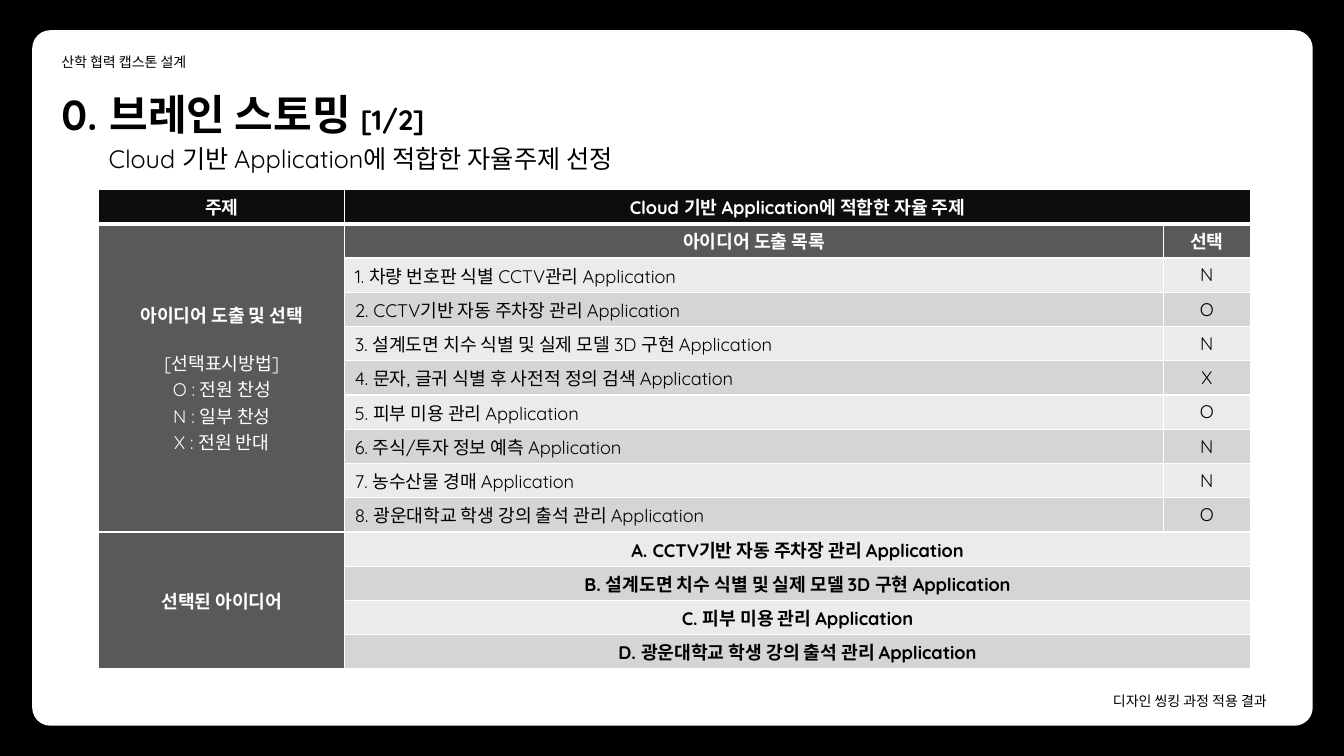
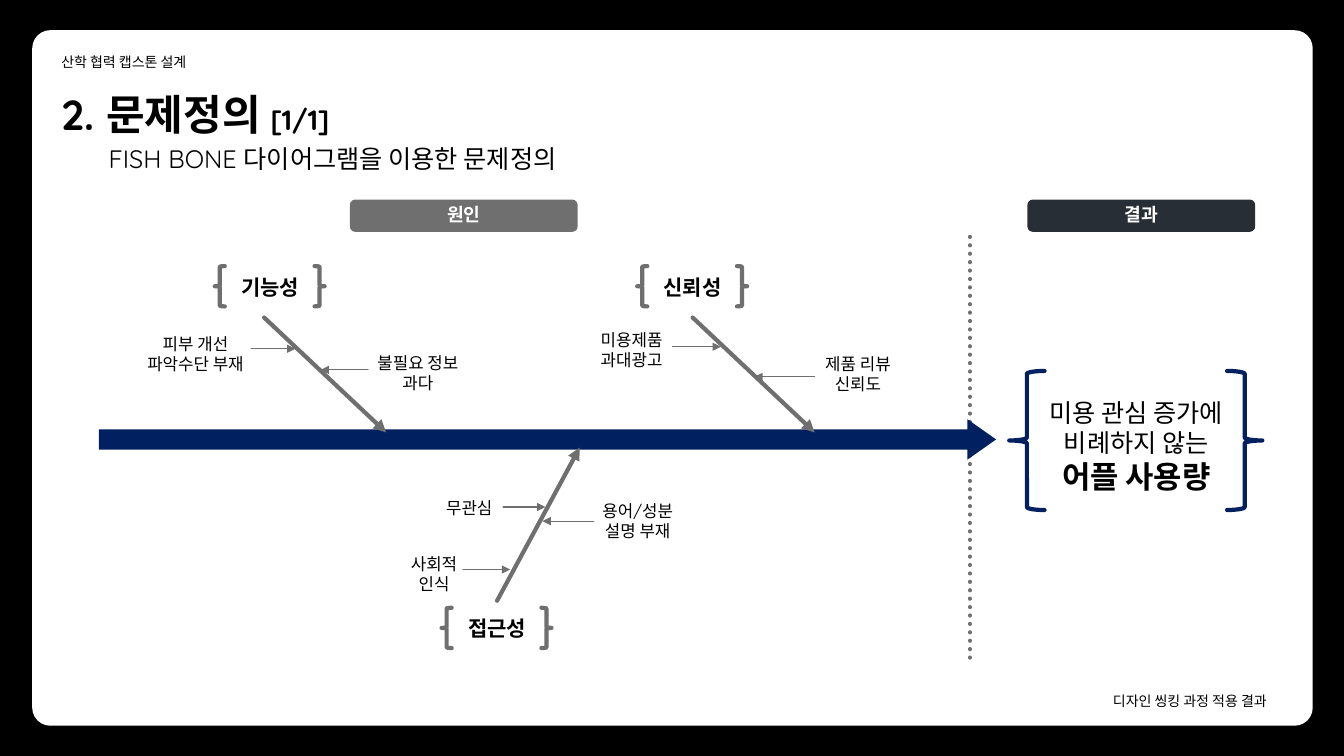
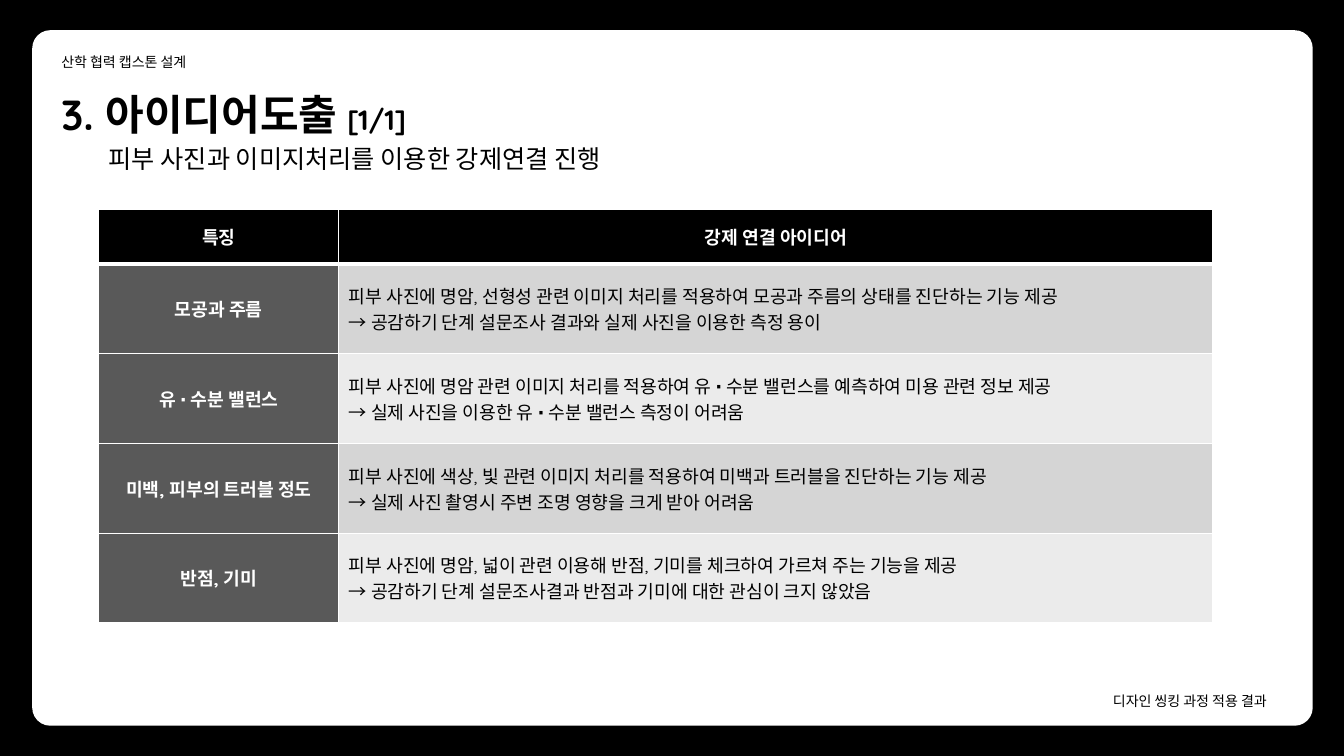
from dataclasses import dataclass

from lxml.etree import SubElement
from pptx import Presentation
from pptx.dml.color import RGBColor
from pptx.enum.dml import MSO_LINE
from pptx.enum.shapes import MSO_CONNECTOR, MSO_SHAPE as Preset
from pptx.enum.text import MSO_ANCHOR as Anchor, MSO_AUTO_SIZE as AutoSize, PP_ALIGN as Align
from pptx.oxml.ns import qn
from pptx.util import Emu, Pt

EMU_PER_PX = 9144
FONT = "Quicksand"
COLORS = {
    "black": "000000",
    "white": "FFFFFF",
    "header": "0D0D0D",
    "side": "595959",
    "light": "EBEBEB",
    "medium": "D5D5D5",
    "bone": "6F6F6F",
    "navy": "002060",
    "result": "282E35",
}


@dataclass(frozen=True)
class Style:
    size: int
    color: str = "black"
    bold: bool = False
    align: Align = Align.LEFT
    font: str = FONT


@dataclass(frozen=True)
class Arrow:
    start: tuple[int, int]
    end: tuple[int, int]
    width: float = 0.75


@dataclass(frozen=True)
class Cause:
    lines: tuple[str, ...]
    left: int
    top: int
    width: int
    align: Align = Align.CENTER


@dataclass(frozen=True)
class Category:
    text: str
    left: int
    top: int


@dataclass(frozen=True)
class Badge:
    text: str
    left: int
    fill: str


SMALL = Style(10)
SUBTITLE = Style(18)
HEADING = Style(30, bold=True)
CELL = Style(13)
CELL_CENTER = Style(13, align=Align.CENTER)
CELL_BOLD = Style(13, bold=True, align=Align.CENTER)
CELL_HEAD = Style(13, "white", True, Align.CENTER)
CELL_NOTE = Style(13, "white", False, Align.CENTER)
BADGE = Style(13, "white", True, Align.CENTER, "Arial")
CATEGORY = Style(15, bold=True, align=Align.CENTER)
RESULT = Style(18, align=Align.CENTER)
RESULT_BOLD = Style(22, bold=True, align=Align.CENTER)

IDEAS = [
    ("1. 차량 번호판 식별 CCTV관리 Application", "N"),
    ("2. CCTV기반 자동 주차장 관리 Application", "O"),
    ("3. 설계도면 치수 식별 및 실제 모델 3D 구현 Application", "N"),
    ("4. 문자, 글귀 식별 후 사전적 정의 검색 Application", "X"),
    ("5. 피부 미용 관리 Application", "O"),
    ("6. 주식/투자 정보 예측 Application", "N"),
    ("7. 농수산물 경매 Application", "N"),
    ("8. 광운대학교 학생 강의 출석 관리 Application", "O"),
]
SELECTED = [
    "A. CCTV기반 자동 주차장 관리 Application",
    "B. 설계도면 치수 식별 및 실제 모델 3D 구현 Application",
    "C. 피부 미용 관리 Application",
    "D. 광운대학교 학생 강의 출석 관리 Application",
]
LEGEND = ["[선택표시방법]", "O : 전원 찬성", "N : 일부 찬성", "X : 전원 반대"]

BADGES = [Badge("결과", 1019, "result"), Badge("원인", 347, "bone")]
CATEGORIES = [
    Category("기능성", 213, 264),
    Category("신뢰성", 632, 264),
    Category("접근성", 438, 603),
]
CAUSES = [
    Cause(("미용제품", "과대광고"), 586, 322, 99, Align.LEFT),
    Cause(("제품 리뷰", "신뢰도"), 791, 346, 120),
    Cause(("용어/성분 설명 부재",), 583, 492, 99),
    Cause(("사회적", "인식"), 382, 544, 97),
    Cause(("피부 개선", "파악수단 부재"), 116, 326, 156),
    Cause(("불필요 정보", "과다"), 359, 345, 111),
    Cause(("무관심",), 417, 489, 97),
]
ARROWS = [
    Arrow((687, 315), (808, 429), 3),
    Arrow((493, 596), (575, 444), 3),
    Arrow((262, 315), (383, 429), 3),
    Arrow((499, 503), (541, 503)),
    Arrow((589, 517), (538, 517)),
    Arrow((808, 374), (748, 374)),
    Arrow((459, 565), (506, 565)),
    Arrow((249, 346), (293, 346)),
    Arrow((365, 367), (318, 367)),
    Arrow((667, 344), (715, 344)),
]

FEATURES = [
    ("모공과 주름", [
        "피부 사진에 명암, 선형성 관련 이미지 처리를 적용하여 모공과 주름의 상태를 진단하는 기능 제공",
        "→ 공감하기 단계 설문조사 결과와 실제 사진을 이용한 측정 용이",
    ]),
    ("유 ∙ 수분 밸런스", [
        "피부 사진에 명암 관련 이미지 처리를 적용하여 유 ∙ 수분 밸런스를 예측하여 미용 관련 정보 제공",
        "→ 실제 사진을 이용한 유 ∙ 수분 밸런스 측정이 어려움",
    ]),
    ("미백, 피부의 트러블 정도", [
        "피부 사진에 색상, 빛 관련 이미지 처리를 적용하여 미백과 트러블을 진단하는 기능 제공",
        "→ 실제 사진 촬영시 주변 조명 영향을 크게 받아 어려움",
    ]),
    ("반점, 기미", [
        "피부 사진에 명암, 넓이 관련 이용해 반점, 기미를 체크하여 가르쳐 주는 기능을 제공",
        "→ 공감하기 단계 설문조사결과 반점과 기미에 대한 관심이 크지 않았음",
    ]),
]


def px(value: float) -> Emu:
    return Emu(round(value * EMU_PER_PX))


def rgb(name: str) -> RGBColor:
    return RGBColor.from_string(COLORS[name])


def write(frame, lines: list[tuple[str, Style]]) -> None:
    for index, (text, style) in enumerate(lines):
        para = frame.paragraphs[0] if index == 0 else frame.add_paragraph()
        para.alignment = style.align
        para.font.name = style.font
        para.font.size = Pt(style.size)
        para.font.bold = style.bold
        para.font.color.rgb = rgb(style.color)
        before, dot, after = text.partition("∙ ")
        for part in filter(None, (before, dot, after)):
            span = para.add_run()
            span.text = part
            if part == dot:
                span.font.bold = True


def add_text(page, left: int, top: int, width: int, height: int,
             lines: list[tuple[str, Style]]) -> None:
    box = page.shapes.add_textbox(px(left), px(top), px(width), px(height))
    box.text_frame.word_wrap = True
    box.text_frame.auto_size = AutoSize.SHAPE_TO_FIT_TEXT
    write(box.text_frame, lines)


def add_solid(page, preset, left: int, top: int, width: int, height: int, fill: str):
    shape = page.shapes.add_shape(preset, px(left), px(top), px(width), px(height))
    shape.shadow.inherit = False
    shape.fill.solid()
    shape.fill.fore_color.rgb = rgb(fill)
    shape.line.fill.background()
    return shape


def add_braces(page, left: int, top: int, width: int, height: int,
               gap: int, color: str) -> None:
    for preset, x in ((Preset.LEFT_BRACE, left), (Preset.RIGHT_BRACE, left + gap)):
        brace = page.shapes.add_shape(preset, px(x), px(top), px(width), px(height))
        brace.shadow.inherit = False
        brace.fill.background()
        brace.line.color.rgb = rgb(color)
        brace.line.width = Pt(3)
        brace.line._get_or_add_ln().set("cap", "rnd")


def add_line(page, start: tuple[int, int], end: tuple[int, int], width: float):
    line = page.shapes.add_connector(MSO_CONNECTOR.STRAIGHT, *map(px, start + end))
    line.line.color.rgb = rgb("bone")
    line.line.width = Pt(width)
    line.line._get_or_add_ln().set("cap", "rnd")
    SubElement(line._element.spPr, qn("a:effectLst"))
    return line


def add_arrow(page, arrow: Arrow) -> None:
    line = add_line(page, arrow.start, arrow.end, arrow.width)
    SubElement(line.line._get_or_add_ln(), qn("a:tailEnd"), type="triangle")


def add_category(page, category: Category) -> None:
    add_braces(page, category.left, category.top, 10, 40, 99, "bone")
    add_text(page, category.left + 10, category.top + 3, 90, 35, [(category.text, CATEGORY)])


def add_badge(page, badge: Badge) -> None:
    shape = add_solid(page, Preset.ROUNDED_RECTANGLE, badge.left, 198, 226, 32, badge.fill)
    frame = shape.text_frame
    frame.word_wrap = False
    frame.vertical_anchor = Anchor.MIDDLE
    write(frame, [(badge.text, BADGE)])
    frame.paragraphs[0].line_spacing = 0.9


def set_borders(cell, row: int) -> None:
    widths = {"L": 1, "R": 1, "T": 3 if row == 1 else 1, "B": 3 if row == 0 else 1}
    properties = cell._tc.get_or_add_tcPr()
    for side, width in widths.items():
        border = SubElement(properties, qn(f"a:ln{side}"), w=str(Pt(width)))
        solid = SubElement(border, qn("a:solidFill"))
        SubElement(solid, qn("a:srgbClr"), val=COLORS["white"])


def add_grid(page, left: int, top: int, widths: list[int], heights: list[int]):
    frame = page.shapes.add_table(len(heights), len(widths), px(left), px(top),
                                  px(sum(widths)), px(sum(heights)))
    table = frame.table
    table.first_row = table.horz_banding = False
    for column, width in zip(table.columns, widths):
        column.width = px(width)
    for index, (row, height) in enumerate(zip(table.rows, heights)):
        row.height = px(height)
        for cell in row.cells:
            set_borders(cell, index)
            cell.margin_top = cell.margin_bottom = px(4)
    return table


def fill_cell(cell, fill: str, lines: list[tuple[str, Style]]) -> None:
    cell.fill.solid()
    cell.fill.fore_color.rgb = rgb(fill)
    cell.vertical_anchor = Anchor.MIDDLE
    write(cell.text_frame, lines)


def add_page(deck, heading: str, count: str, subtitle: str):
    page = deck.slides.add_slide(deck.slide_layouts[5])
    page.background.fill.solid()
    page.background.fill.fore_color.rgb = rgb("black")
    card = add_solid(page, Preset.ROUNDED_RECTANGLE, 32, 30, 1270, 690, "white")
    card.adjustments[0] = 0.026
    add_text(page, 51, 48, 325, 27, [("산학 협력 캡스톤 설계", SMALL)])
    add_text(page, 1094, 682, 230, 27, [("디자인 씽킹 과정 적용 결과", SMALL)])

    title = page.shapes.title
    page.shapes._spTree.append(title._element)
    title.left, title.top, title.width, title.height = map(px, (51, 83, 1152, 61))
    frame = title.text_frame
    frame.word_wrap = True
    frame.auto_size = AutoSize.SHAPE_TO_FIT_TEXT
    frame.vertical_anchor = Anchor.TOP
    write(frame, [(heading + " ", HEADING)])
    span = frame.paragraphs[0].add_run()
    span.text = count
    span.font.size = Pt(20)

    add_text(page, 98, 137, 1184, 40, [(subtitle, SUBTITLE)])
    return page


def build_brainstorming(deck) -> None:
    page = add_page(deck, "0. 브레인 스토밍", "[1/2]",
                    "Cloud 기반 Application에 적합한 자율주제 선정")
    table = add_grid(page, 98, 188, [244, 812, 86], [34] * 14)
    first_selected = 2 + len(IDEAS)
    table.cell(0, 1).merge(table.cell(0, 2))
    table.cell(1, 0).merge(table.cell(first_selected - 1, 0))
    table.cell(first_selected, 0).merge(table.cell(13, 0))

    fill_cell(table.cell(0, 0), "header", [("주제", CELL_HEAD)])
    fill_cell(table.cell(0, 1), "header",
              [("Cloud 기반 Application에 적합한 자율 주제", CELL_HEAD)])
    side = table.cell(1, 0)
    fill_cell(side, "side", [("아이디어 도출 및 선택", CELL_HEAD)]
              + [(text, CELL_NOTE) for text in LEGEND])
    side.text_frame.paragraphs[1].space_before = Pt(16)
    fill_cell(table.cell(1, 1), "side", [("아이디어 도출 목록", CELL_HEAD)])
    fill_cell(table.cell(1, 2), "side", [("선택", CELL_HEAD)])
    fill_cell(table.cell(first_selected, 0), "side", [("선택된 아이디어", CELL_HEAD)])

    stripes = ("light", "medium")
    for index, (idea, vote) in enumerate(IDEAS):
        fill = stripes[index % 2]
        fill_cell(table.cell(index + 2, 1), fill, [(idea, CELL)])
        fill_cell(table.cell(index + 2, 2), fill, [(vote, CELL_CENTER)])
    for index, idea in enumerate(SELECTED):
        row = first_selected + index
        table.cell(row, 1).merge(table.cell(row, 2))
        fill_cell(table.cell(row, 1), stripes[index % 2], [(idea, CELL_BOLD)])


def build_fishbone(deck) -> None:
    page = add_page(deck, "2. 문제정의", "[1/1]", "FISH BONE 다이어그램을 이용한 문제정의")
    divider = add_line(page, (962, 235), (962, 653), 3)
    divider.line.dash_style = MSO_LINE.ROUND_DOT
    for badge in BADGES:
        add_badge(page, badge)
    add_braces(page, 1001, 368, 35, 138, 216, "navy")
    add_text(page, 1019, 389, 216, 108, [
        ("미용 관심 증가에", RESULT),
        ("비례하지 않는", RESULT),
        ("어플 사용량", RESULT_BOLD),
    ])
    spine = add_solid(page, Preset.RIGHT_ARROW, 98, 416, 890, 40, "navy")
    spine.adjustments[1] = 0.71
    for category in CATEGORIES:
        add_category(page, category)
    for arrow in ARROWS:
        add_arrow(page, arrow)
    for cause in CAUSES:
        style = Style(12, align=cause.align)
        height = 30 if cause.lines == ("무관심",) else 50
        add_text(page, cause.left, cause.top, cause.width, height,
                 [(text, style) for text in cause.lines])


def build_ideas(deck) -> None:
    page = add_page(deck, "3. 아이디어도출", "[1/1]",
                    "피부 사진과 이미지처리를 이용한 강제연결 진행")
    table = add_grid(page, 98, 208, [238, 867], [54] + [89] * len(FEATURES))
    for column, text in enumerate(("특징", "강제 연결 아이디어")):
        fill_cell(table.cell(0, column), "black", [(text, CELL_HEAD)])
    for row, (feature, lines) in enumerate(FEATURES, start=1):
        fill_cell(table.cell(row, 0), "side", [(feature, CELL_HEAD)])
        fill_cell(table.cell(row, 1), "medium" if row % 2 else "light",
                  [(text, CELL) for text in lines])


def main() -> None:
    deck = Presentation()
    deck.slide_width, deck.slide_height = px(1333), px(750)
    build_brainstorming(deck)
    build_fishbone(deck)
    build_ideas(deck)
    deck.save("out.pptx")


if __name__ == "__main__":
    main()
